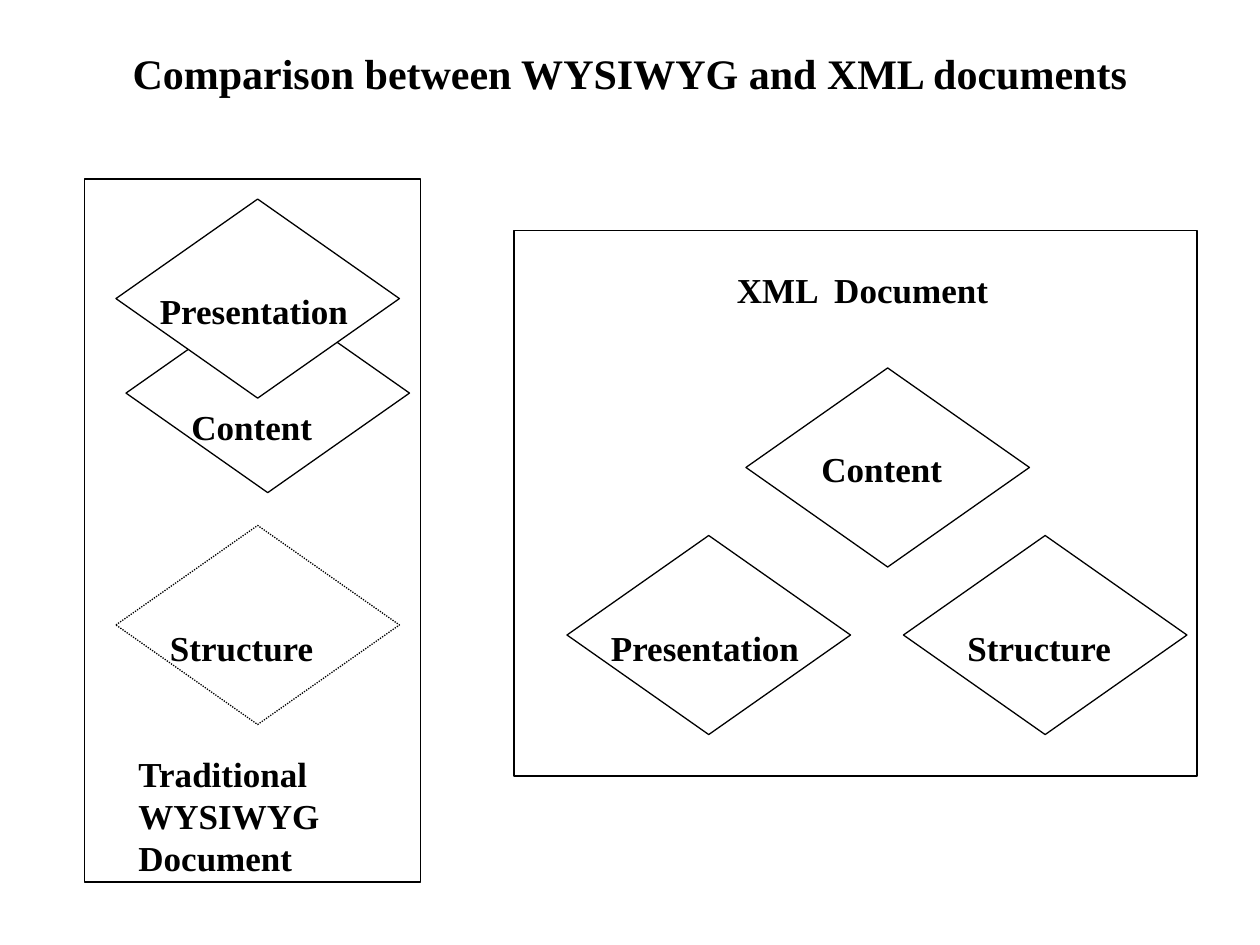
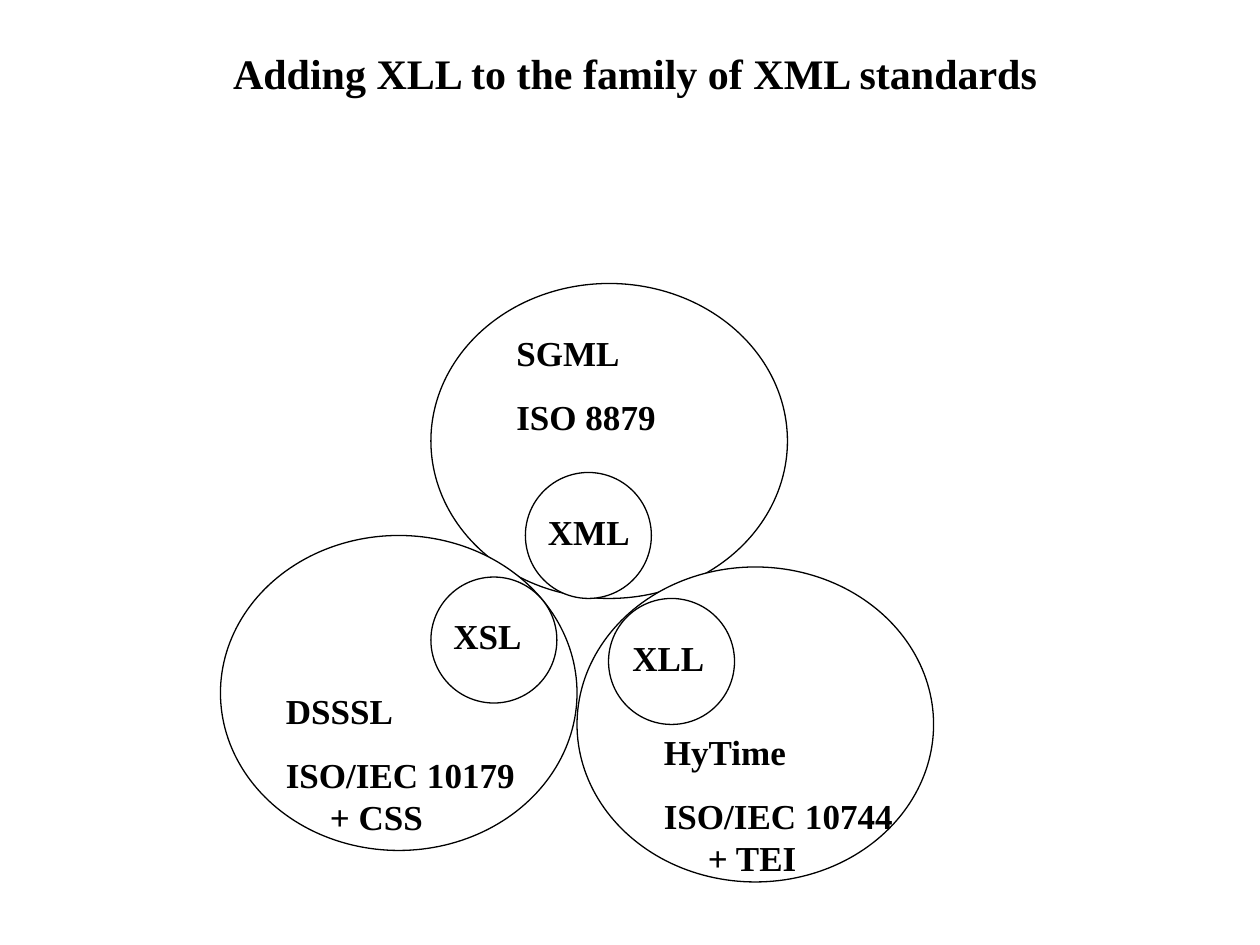
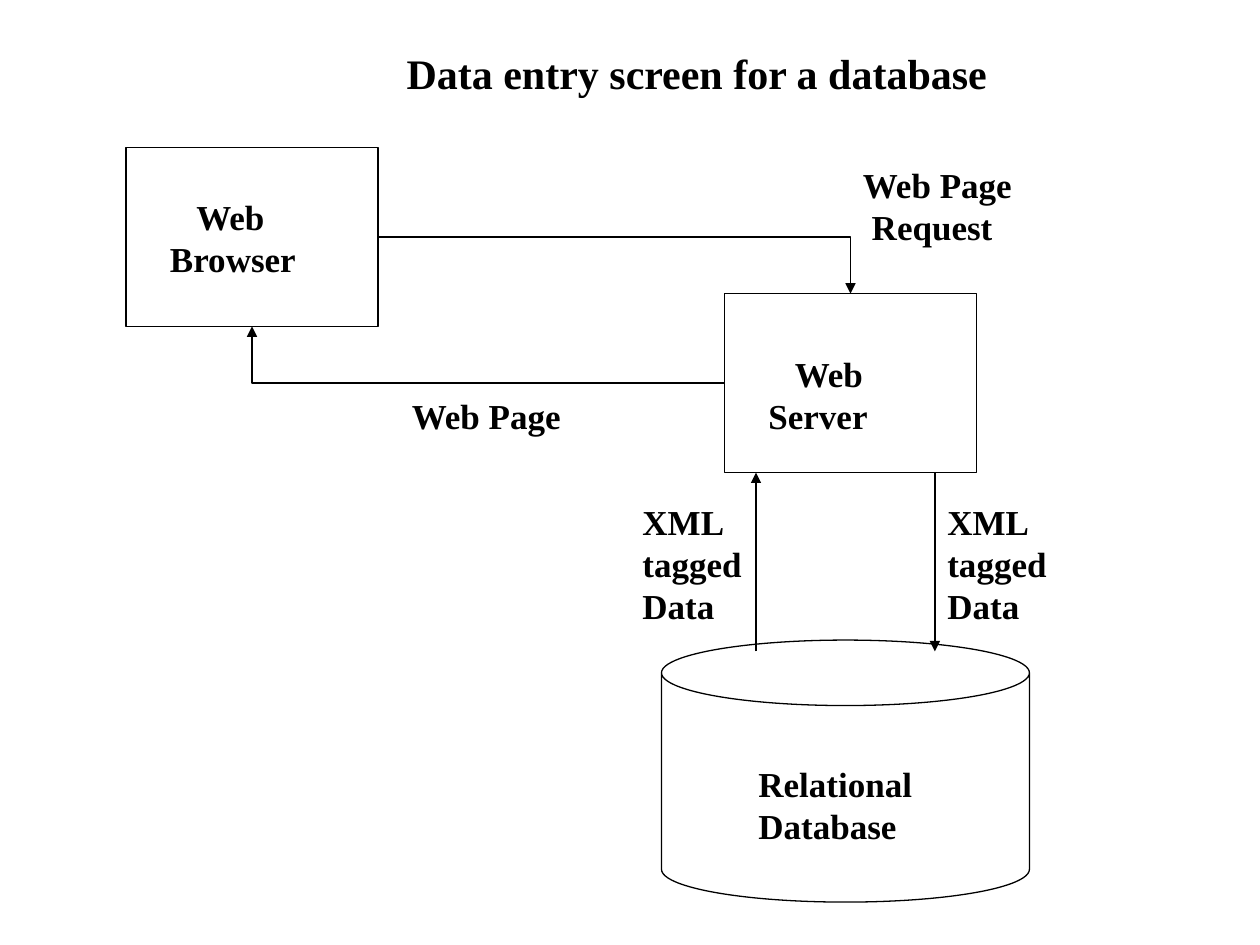
from dataclasses import dataclass

from pptx import Presentation
from pptx.dml.color import RGBColor
from pptx.enum.dml import MSO_LINE
from pptx.enum.shapes import MSO_CONNECTOR as Connector, MSO_SHAPE as Preset
from pptx.enum.text import PP_ALIGN
from pptx.oxml.ns import qn
from pptx.oxml.xmlchemy import OxmlElement
from pptx.shapes.autoshape import Shape
from pptx.shapes.connector import Connector as ConnectorShape
from pptx.slide import Slide
from pptx.util import Inches, Pt

BLACK = RGBColor(0x00, 0x00, 0x00)
WHITE = RGBColor(0xFF, 0xFF, 0xFF)
FONT = "Times New Roman"
LINE_WIDTH = Pt(0.75)
BODY_SIZE = 20
TITLE_SIZE = 24
DIAMOND_SIZE = (2.25, 1.58)
STANDARD_SIZE = (2.83, 2.5)
SUBSET_SIZE = (1, 1)
NODE_SIZE = (2, 1.42)


@dataclass(frozen=True)
class Outline:
    """A white preset shape with a thin black line."""

    preset: Preset
    left: float
    top: float
    size: tuple[float, float]
    dotted: bool = False


@dataclass(frozen=True)
class Label:
    """A bold text box; the indents apply to its last paragraph."""

    text: str
    left: float
    top: float
    width: float
    height: float = 0.44
    margin: float = 0
    first_indent: float = 0
    wrap: bool = True
    size: int = BODY_SIZE
    align: PP_ALIGN = PP_ALIGN.LEFT


def draw_outline(slide: Slide, outline: Outline) -> Shape:
    """Draw one outlined shape."""
    width, height = outline.size
    shape = slide.shapes.add_shape(
        outline.preset, Inches(outline.left), Inches(outline.top), Inches(width), Inches(height)
    )
    shape.shadow.inherit = False
    shape.fill.solid()
    shape.fill.fore_color.rgb = WHITE
    shape.line.color.rgb = BLACK
    shape.line.width = LINE_WIDTH
    if outline.dotted:
        shape.line.dash_style = MSO_LINE.ROUND_DOT
    return shape


def draw_label(slide: Slide, label: Label) -> None:
    """Draw one text box."""
    box = slide.shapes.add_textbox(
        Inches(label.left), Inches(label.top), Inches(label.width), Inches(label.height)
    )
    text_frame = box.text_frame
    text_frame.word_wrap = label.wrap
    text_frame.text = label.text
    for index, paragraph in enumerate(text_frame.paragraphs):
        paragraph.alignment = label.align
        if index:
            paragraph.space_before = Pt(12.5)
        for run in paragraph.runs:
            run.font.name = FONT
            run.font.size = Pt(label.size)
            run.font.bold = True
            run.font.color.rgb = BLACK
    properties = text_frame.paragraphs[-1]._p.get_or_add_pPr()
    properties.set("marL", str(Inches(label.margin)))
    properties.set("indent", str(Inches(label.first_indent)))


def draw_items(slide: Slide, items: list[Outline | Label]) -> None:
    """Draw outlines and labels from back to front."""
    for item in items:
        if isinstance(item, Outline):
            draw_outline(slide, item)
        else:
            draw_label(slide, item)


def draw_arrow(
    slide: Slide, kind: Connector, start: tuple[float, float], end: tuple[float, float]
) -> ConnectorShape:
    """Draw a connector with a triangle at its end."""
    connector = slide.shapes.add_connector(kind, *map(Inches, start + end))
    connector.line.color.rgb = BLACK
    connector.line.width = LINE_WIDTH
    head = OxmlElement("a:tailEnd")
    head.set("type", "triangle")
    connector.line._get_or_add_ln().append(head)
    connector._element.spPr.append(OxmlElement("a:effectLst"))
    return connector


def draw_elbow(slide: Slide, source: Shape, source_site: int, target: Shape, target_site: int) -> None:
    """Join two shapes with an arrow that has a single bend."""
    connector = draw_arrow(slide, Connector.ELBOW, (0, 0), (1, 1))
    connector.begin_connect(source, source_site)
    connector.end_connect(target, target_site)
    properties = connector._element.spPr
    properties.find(qn("a:prstGeom")).set("prst", "bentConnector2")
    transform = properties.find(qn("a:xfrm"))
    if transform.get("flipH") and transform.get("flipV"):
        del transform.attrib["flipH"], transform.attrib["flipV"]
        transform.set("rot", "10800000")


def add_titled_slide(presentation: Presentation, title: str, margin: float = 0) -> Slide:
    """Add a blank slide with a centred title."""
    slide = presentation.slides.add_slide(presentation.slide_layouts[6])
    draw_label(
        slide,
        Label(title, 0.33, 0.33, 9.42, 0.5, margin=margin, size=TITLE_SIZE, align=PP_ALIGN.CENTER),
    )
    return slide


def build_comparison(presentation: Presentation) -> None:
    """Build the slide comparing the two document kinds."""
    slide = add_titled_slide(presentation, "Comparison between WYSIWYG and XML documents ")
    draw_items(slide, [
        Outline(Preset.RECTANGLE, 0.67, 1.42, (2.67, 5.58)),
        Outline(Preset.DIAMOND, 1, 2.33, DIAMOND_SIZE),
        Outline(Preset.DIAMOND, 0.92, 1.58, DIAMOND_SIZE),
        Outline(Preset.DIAMOND, 0.92, 4.17, DIAMOND_SIZE, dotted=True),
        Label("Presentation", 1.17, 2.25, 1.75),
        Label("Content", 1.42, 3.17, 1.75),
        Label("Structure", 1.25, 4.92, 1.75),
        Label("Traditional WYSIWYG Document", 1, 5.92, 2.58, 1.1),
        Outline(Preset.RECTANGLE, 4.08, 1.83, (5.42, 4.33)),
        Outline(Preset.DIAMOND, 5.92, 2.92, DIAMOND_SIZE),
        Outline(Preset.DIAMOND, 4.5, 4.25, DIAMOND_SIZE),
        Outline(Preset.DIAMOND, 7.17, 4.25, DIAMOND_SIZE),
        Label("Presentation", 4.75, 4.92, 1.75),
        Label("Content", 6.42, 3.5, 1.75),
        Label("Structure", 7.58, 4.92, 1.75),
        Label("XML  Document", 5.75, 2.08, 2.58),
    ])


def build_standards(presentation: Presentation) -> None:
    """Build the slide with the family of standards."""
    slide = add_titled_slide(presentation, "Adding XLL to the family of XML standards")
    draw_items(slide, [
        Outline(Preset.OVAL, 3.42, 2.25, STANDARD_SIZE),
        Outline(Preset.OVAL, 1.75, 4.25, STANDARD_SIZE),
        Outline(Preset.OVAL, 4.17, 3.75, SUBSET_SIZE),
        Outline(Preset.OVAL, 3.42, 4.58, SUBSET_SIZE),
        Label("SGML\nISO 8879", 4, 2.58, 1.67, 0.94),
        Label("DSSSL\nISO/IEC 10179 + CSS", 2.17, 5.42, 2.08, 1.28, margin=0.35, first_indent=-0.35),
        Label("XML", 4.25, 4, 0.85, wrap=False),
        Label("XSL", 3.5, 4.83, 0.74, wrap=False),
        Outline(Preset.OVAL, 4.58, 4.5, STANDARD_SIZE),
        Outline(Preset.OVAL, 4.83, 4.75, SUBSET_SIZE),
        Label("XLL", 4.92, 5, 0.77, wrap=False),
        Label("HyTime\nISO/IEC 10744 + TEI", 5.17, 5.75, 2.08, 1.28, margin=0.35, first_indent=-0.35),
    ])


def build_data_entry(presentation: Presentation) -> None:
    """Build the slide with the browser, server and database."""
    slide = add_titled_slide(presentation, "Data entry screen for a database", margin=0.98)
    browser = draw_outline(slide, Outline(Preset.RECTANGLE, 1, 1.17, NODE_SIZE))
    server = draw_outline(slide, Outline(Preset.RECTANGLE, 5.75, 2.33, NODE_SIZE))
    draw_items(slide, [
        Outline(Preset.CAN, 5.25, 5.08, (2.92, 2.08)),
        Label("Web Browser", 1.25, 1.5, 1.58, 0.77, first_indent=0.21),
        Label("Web Server", 6, 2.75, 1.58, 0.77, first_indent=0.21),
        Label("Relational Database", 5.92, 6, 1.58, 0.77),
        Label("Web Page Request", 6.75, 1.25, 1.42, 0.77, margin=0.07, first_indent=-0.07),
        Label("Web Page", 3.17, 3.08, 1.42, 0.77),
        Label("XML tagged Data", 7.42, 3.92, 1.42, 1.1),
        Label("XML tagged Data", 5, 3.92, 1.42, 1.1),
    ])
    draw_elbow(slide, server, 1, browser, 2)
    draw_elbow(slide, browser, 3, server, 0)
    draw_arrow(slide, Connector.STRAIGHT, (7.42, 3.75), (7.42, 5.17))
    draw_arrow(slide, Connector.STRAIGHT, (6, 5.17), (6, 3.75))


def main() -> None:
    """Build and save the presentation."""
    presentation = Presentation()
    presentation.slide_width = Inches(10)
    presentation.slide_height = Inches(7.5)
    build_comparison(presentation)
    build_standards(presentation)
    build_data_entry(presentation)
    presentation.save("out.pptx")


if __name__ == "__main__":
    main()
